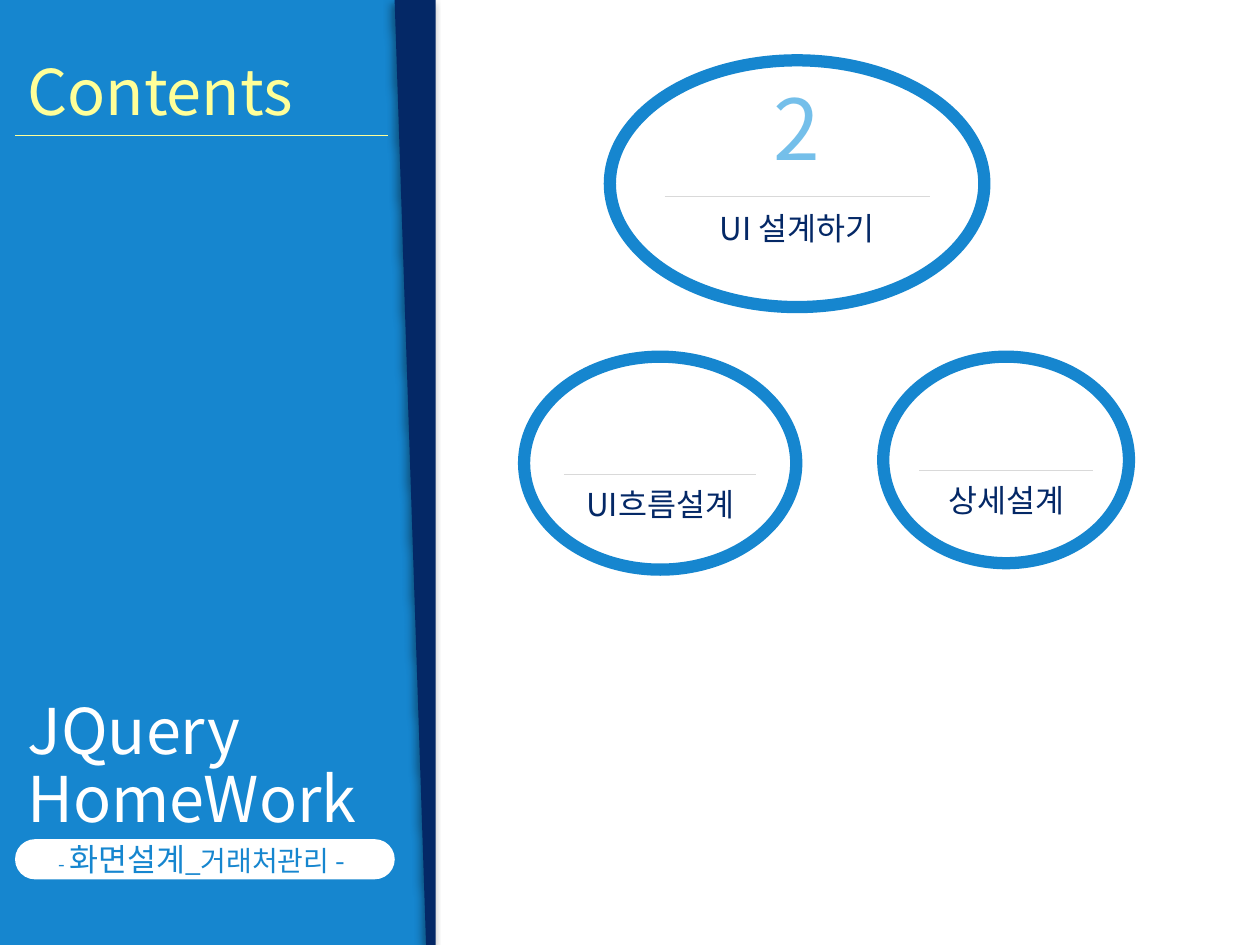
from lxml.etree import SubElement
from pptx import Presentation
from pptx.dml.color import RGBColor
from pptx.enum.shapes import MSO_CONNECTOR, MSO_SHAPE
from pptx.enum.text import MSO_ANCHOR, PP_ALIGN
from pptx.oxml.ns import qn
from pptx.util import Pt

FONT = "Noto Sans CJK KR"
COLORS = {
    "blue": "1686CF",
    "navy": "042866",
    "sky": "74BFEA",
    "yellow": "FFFF99",
    "gray": "D9D9D9",
    "white": "FFFFFF",
    "black": "000000",
}


def rgb(name):
    return RGBColor.from_string(COLORS[name])


def add_block(shapes, kind, box, fill, outline=None):
    block = shapes.add_shape(kind, *map(Pt, box))
    block.shadow.inherit = False
    block.fill.solid()
    block.fill.fore_color.rgb = rgb(fill)
    if outline:
        block.line.color.rgb = rgb(outline)
        block.line.width = Pt(7)
    else:
        block.line.fill.background()
    return block


def add_rule(shapes, left, right, y, color):
    rule = shapes.add_connector(MSO_CONNECTOR.STRAIGHT, Pt(left), Pt(y), Pt(right), Pt(y))
    rule.line.color.rgb = rgb(color)
    rule.line.width = Pt(0.75)
    SubElement(rule._element.spPr, qn("a:effectLst"))


def style_run(run, size, color):
    """Set Latin and East Asian typeface, size and colour."""
    run.font.name = FONT
    run.font.size = Pt(size)
    run.font.color.rgb = rgb(color)
    SubElement(run._r.get_or_add_rPr(), qn("a:ea"), typeface=FONT)


def add_heading(shapes, box, text, color, spacing):
    frame = shapes.add_textbox(*map(Pt, box)).text_frame
    frame.word_wrap = True
    frame.vertical_anchor = MSO_ANCHOR.MIDDLE
    frame.text = text
    for paragraph in frame.paragraphs:
        paragraph.line_spacing = spacing
        style_run(paragraph.runs[0], 36, color)


def add_label(shapes, box, text, size, color):
    """Add centred text without margins."""
    frame = shapes.add_textbox(*map(Pt, box)).text_frame
    frame.margin_left = frame.margin_right = frame.margin_top = frame.margin_bottom = 0
    frame.word_wrap = False
    frame.text = text
    frame.paragraphs[0].alignment = PP_ALIGN.CENTER
    style_run(frame.paragraphs[0].runs[0], size, color)


def add_topic(slide, box, title, title_gap, number=None):
    """Add a ring with a rule, a title below it and an optional number above."""
    left, top, width, height = box
    center = left + width / 2
    rule_y = top + 0.552 * height
    half_rule = 0.354 * width
    shapes = slide.shapes.add_group_shape().shapes
    add_block(shapes, MSO_SHAPE.OVAL, box, "white", "blue")
    if number:
        add_label(shapes, (center - 19.5, top + 9.4, 39, 58), number, 48, "sky")
    add_label(shapes, (center - 48, rule_y + title_gap, 96, 22), title, 18, "navy")
    add_rule(shapes, center - half_rule, center + half_rule, rule_y, "gray")


def add_fold(shapes):
    """Add the slanted navy edge with its shadow on the panel."""
    builder = shapes.build_freeform(Pt(225.5), Pt(0), scale=1.0)
    corners = [(249, 0), (249, 540), (243.5, 540)]
    builder.add_line_segments([(Pt(x), Pt(y)) for x, y in corners], close=True)
    fold = builder.convert_to_shape()
    fold.fill.solid()
    fold.fill.fore_color.rgb = rgb("navy")
    fold.line.fill.background()
    effects = SubElement(fold._element.spPr, qn("a:effectLst"))
    shadow = SubElement(effects, qn("a:outerShdw"), blurRad=str(Pt(5)), dist=str(Pt(3)),
                        dir="8100000", algn="tr", rotWithShape="0")
    tint = SubElement(shadow, qn("a:srgbClr"), val=COLORS["black"])
    SubElement(tint, qn("a:alpha"), val="40000")


def add_subtitle(shapes):
    pill = add_block(shapes, MSO_SHAPE.ROUNDED_RECTANGLE, (8.6, 479.5, 217, 23), "white")
    pill.adjustments[0] = 0.5
    frame = pill.text_frame
    frame.word_wrap = False
    frame.vertical_anchor = MSO_ANCHOR.MIDDLE
    paragraph = frame.paragraphs[0]
    paragraph.alignment = PP_ALIGN.CENTER
    for text, size in [("- ", 11), ("화면설계", 18), ("_거래처관리 - ", 16)]:
        run = paragraph.add_run()
        run.text = text
        style_run(run, size, "blue")


def main():
    deck = Presentation()
    deck.slide_width, deck.slide_height = Pt(720), Pt(540)
    slide = deck.slides.add_slide(deck.slide_layouts[6])
    shapes = slide.shapes

    add_block(shapes, MSO_SHAPE.RECTANGLE, (-3, 0, 251.5, 540), "blue")
    add_subtitle(shapes)
    add_heading(shapes, (8.6, 396, 263.5, 85.7), "JQuery\nHomeWork", "white", 0.9)
    add_fold(shapes)
    add_heading(shapes, (8.6, 34.6, 204.5, 42.5), "Contents", "yellow", 0.8)
    add_rule(shapes, 8.6, 221.8, 77.5, "yellow")

    add_topic(slide, (348.5, 34.5, 214, 141), "UI 설계하기", 7, number="2")
    add_topic(slide, (299.5, 203.8, 155.5, 121.7), "UI흐름설계", 6.3)
    add_topic(slide, (504.7, 203.8, 140.4, 118), "상세설계", 6)

    deck.save("out.pptx")


if __name__ == "__main__":
    main()
